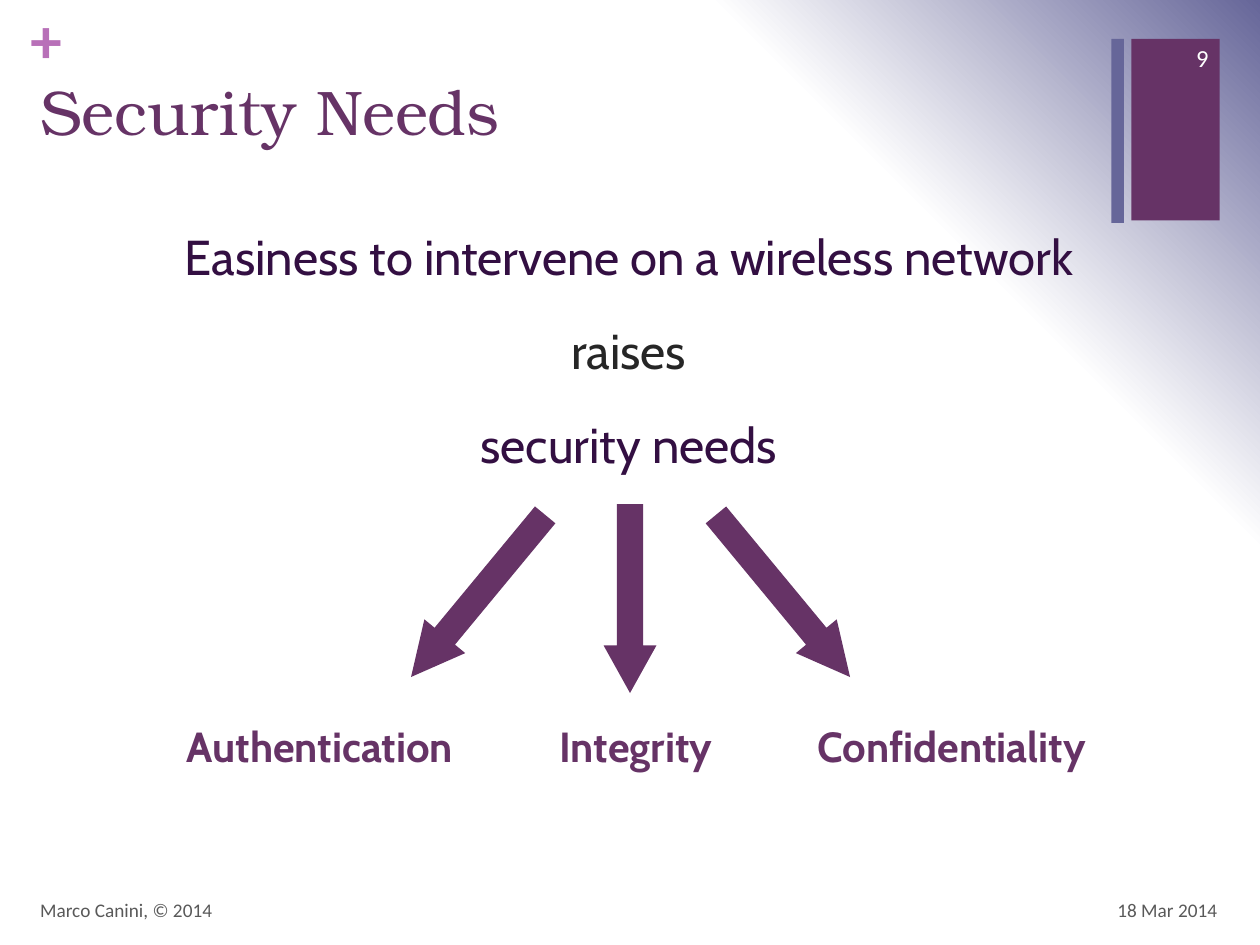
from pptx import Presentation
from pptx.dml.color import RGBColor
from pptx.enum.shapes import MSO_SHAPE
from pptx.enum.text import MSO_ANCHOR, PP_ALIGN
from pptx.oxml import parse_xml
from pptx.oxml.ns import nsdecls
from pptx.util import Inches, Pt

RECT, ARROW = MSO_SHAPE.RECTANGLE, MSO_SHAPE.LEFT_ARROW
LEFT, CENTER, RIGHT = PP_ALIGN.LEFT, PP_ALIGN.CENTER, PP_ALIGN.RIGHT
TOP, MIDDLE = MSO_ANCHOR.TOP, MSO_ANCHOR.MIDDLE
COLORS = {
    "plum": "663366", "slate": "666699", "orchid": "B870B8", "gray": "595959",
    "violet": "330F42", "ink": "262626", "white": "FFFFFF",
}
BODY = [
    ("Easiness to intervene on a wireless network", "violet"),
    ("raises", "ink"),
    ("security needs", "violet"),
]
ARROWS = [
    (2.96, 4.52, 1.67, 309.6, 1, False),
    (4.25, 4.54, 1.5, 270, 0.9, False),
    (5.38, 4.52, 1.67, 50.4, 1, True),
]
NEEDS = [
    ("Authentication", 1.18, 2.72),
    ("Integrity", 3.92, 2.25),
    ("Confidentiality", 6.19, 2.73),
]


def set_background(s):
    """Fill the background with a radial gradient centred on the bottom left."""
    stops = "".join(
        f'<a:gs pos="{pos * 1000}"><a:srgbClr val="{COLORS[color]}"/></a:gs>'
        for pos, color in [(0, "white"), (75, "white"), (100, "slate")]
    )
    bg = parse_xml(
        f'<p:bg {nsdecls("p", "a")}><p:bgPr><a:gradFill rotWithShape="1">'
        f'<a:gsLst>{stops}</a:gsLst><a:path path="circle">'
        '<a:fillToRect l="0" t="100000" r="100000" b="0"/></a:path>'
        '</a:gradFill><a:effectLst/></p:bgPr></p:bg>'
    )
    s.element.cSld.insert(0, bg)


def add_block(s, kind, x, y, w, h, color):
    """Add a plain filled shape without line or shadow."""
    sp = s.shapes.add_shape(kind, Inches(x), Inches(y), Inches(w), Inches(h))
    sp.shadow.inherit = False
    sp.fill.solid()
    sp.fill.fore_color.rgb = RGBColor.from_string(COLORS[color])
    sp.line.fill.background()
    return sp


def add_arrow(s, x, y, w, angle, head, flipped):
    """Add a rotated block arrow."""
    sp = add_block(s, ARROW, x, y, w, 0.42, "plum")
    sp.adjustments[0] = 0.5
    sp.adjustments[1] = head
    sp.rotation = angle
    if flipped:
        sp.element.spPr.xfrm.set("flipH", "1")


def add_text(s, x, y, w, h, lines, size, font,
             align=LEFT, anchor=TOP, bold=False, space=0):
    """Add a text box with one paragraph for each (text, color) line."""
    sp = s.shapes.add_textbox(Inches(x), Inches(y), Inches(w), Inches(h))
    tf = sp.text_frame
    tf.word_wrap = True
    tf.vertical_anchor = anchor
    for i, (text, color) in enumerate(lines):
        p = tf.add_paragraph() if i else tf.paragraphs[0]
        p.alignment = align
        if i:
            p.space_before = Pt(space)
        r = p.add_run()
        r.text = text
        r.font.size = Pt(size)
        r.font.name = font
        r.font.bold = bold
        r.font.color.rgb = RGBColor.from_string(COLORS[color])
    return tf


def main():
    """Build the slide and save it."""
    prs = Presentation()
    prs.slide_width, prs.slide_height = Inches(10), Inches(7.5)
    s = prs.slides.add_slide(prs.slide_layouts[6])
    set_background(s)

    add_block(s, RECT, 8.98, 0.31, 0.7, 1.44, "plum")
    plus = add_text(s, 0.24, 0, 0.29, 0.61, [("+", "orchid")], 36, "Calibri", bold=True)
    plus.margin_left = plus.margin_right = plus.margin_top = plus.margin_bottom = 0
    add_block(s, RECT, 8.82, 0.31, 0.1, 1.46, "slate")

    add_text(s, 0.22, 7.02, 6.7, 0.4, [("Marco Canini, © 2014", "gray")], 11, "Calibri",
             anchor=MIDDLE)
    add_text(s, 0.22, 0.53, 8.59, 1.22, [("Security Needs", "plum")], 36, "TeX Gyre Bonum")
    add_text(s, 0.22, 1.75, 9.54, 5.27, BODY, 28, "Cabin", CENTER, space=20)

    for arrow in ARROWS:
        add_arrow(s, *arrow)
    for need, x, w in NEEDS:
        add_text(s, x, 5.67, w, 0.5, [(need, "plum")], 24, "Cabin", CENTER, bold=True)

    add_text(s, 7.43, 7.02, 2.33, 0.4, [("18 Mar 2014", "gray")], 11, "Calibri",
             RIGHT, MIDDLE)
    add_text(s, 9.08, 0.26, 0.61, 0.4, [("9", "white")], 14, "Calibri", RIGHT, MIDDLE)
    prs.save("out.pptx")


if __name__ == "__main__":
    main()
